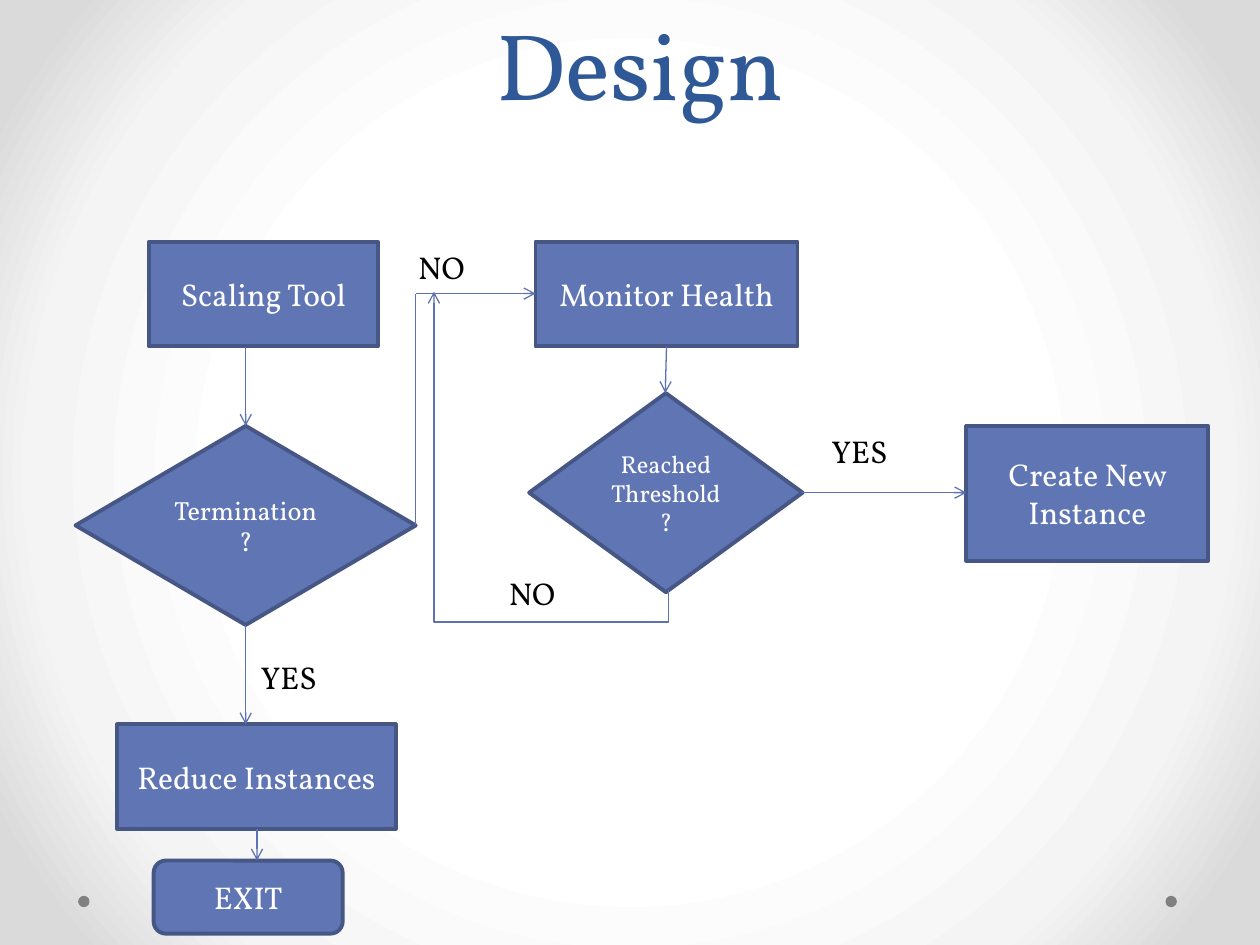
from lxml import etree
from pptx import Presentation
from pptx.dml.color import RGBColor
from pptx.enum.shapes import MSO_CONNECTOR as LINK, MSO_SHAPE as SHAPE
from pptx.enum.text import MSO_ANCHOR as ANCHOR, MSO_AUTO_SIZE as FIT, PP_ALIGN as ALIGN
from pptx.oxml import parse_xml
from pptx.oxml.ns import nsdecls, qn
from pptx.util import Inches, Pt

FONT = "Vollkorn"
TITLE_BLUE = RGBColor(0x2F, 0x58, 0x97)
NODE_FILL = RGBColor(0x60, 0x76, 0xB4)
NODE_EDGE = RGBColor(0x47, 0x57, 0x85)
ARROW_BLUE = RGBColor(0x5C, 0x72, 0xB2)
DOT_GRAY = RGBColor(0x80, 0x80, 0x80)
WHITE = RGBColor(0xFF, 0xFF, 0xFF)
BLACK = RGBColor(0, 0, 0)


def write(frame, text, size, color, align):
    frame.text = text
    paragraph = frame.paragraphs[0]
    paragraph.alignment = align
    font = paragraph.runs[0].font
    font.name, font.size, font.color.rgb = FONT, Pt(size), color


def connect(kind, x1, y1, x2, y2, arrow=True):
    link = slide.shapes.add_connector(kind, Inches(x1), Inches(y1), Inches(x2), Inches(y2))
    link.line.color.rgb = ARROW_BLUE
    link.line.width = Pt(0.75)
    if arrow:
        etree.SubElement(link.line._get_or_add_ln(), qn("a:tailEnd"), type="arrow")
    etree.SubElement(link._element.spPr, qn("a:effectLst"))
    return link


prs = Presentation()
prs.slide_width, prs.slide_height = Inches(10), Inches(7.5)
slide = prs.slides.add_slide(prs.slide_layouts[5])

stops = "".join(
    f'<a:gs pos="{percent * 1000}"><a:srgbClr val="{color}"/></a:gs>'
    for percent, color in [(50, "FFFFFF"), (76, "F4F4F4"), (92, "DADADA")]
)
slide.element.cSld.insert(0, parse_xml(
    f'<p:bg {nsdecls("p", "a")}><p:bgPr><a:gradFill rotWithShape="1"><a:gsLst>{stops}</a:gsLst>'
    '<a:path path="circle"><a:fillToRect l="50000" t="50000" r="50000" b="50000"/></a:path>'
    '</a:gradFill><a:effectLst/></p:bgPr></p:bg>'
))

for x in (9.25, 0.62):
    dot = slide.shapes.add_shape(SHAPE.OVAL, Inches(x), Inches(7.11), Inches(0.09), Inches(0.09))
    dot.shadow.inherit = False
    dot.fill.solid()
    dot.fill.fore_color.rgb = DOT_GRAY
    dot.line.fill.background()

title = slide.shapes.title
title.left, title.top, title.width, title.height = Inches(0.58), Inches(0), Inches(9), Inches(1)
write(title.text_frame, "Design", 54, TITLE_BLUE, ALIGN.CENTER)
title.text_frame.auto_size = FIT.NONE
title.text_frame.vertical_anchor = ANCHOR.BOTTOM
title.text_frame.paragraphs[0].line_spacing = Pt(58)

steps = [
    ("Scaling Tool", SHAPE.RECTANGLE, 1.18, 1.92, 1.82, 0.83, 18),
    ("Monitor Health", SHAPE.RECTANGLE, 4.25, 1.92, 2.08, 0.83, 18),
    ("Reached Threshold ?", SHAPE.FLOWCHART_DECISION, 4.2, 3.12, 2.17, 1.58, 14),
    ("Create New Instance", SHAPE.RECTANGLE, 7.67, 3.38, 1.92, 1.07, 18),
    ("Termination ?", SHAPE.FLOWCHART_DECISION, 0.6, 3.38, 2.7, 1.58, 15),
    ("Reduce Instances", SHAPE.RECTANGLE, 0.93, 5.75, 2.21, 0.83, 18),
    ("EXIT", SHAPE.ROUNDED_RECTANGLE, 1.22, 6.83, 1.5, 0.58, 18),
]
for text, kind, x, y, width, height, size in steps:
    step = slide.shapes.add_shape(kind, Inches(x), Inches(y), Inches(width), Inches(height))
    step.shadow.inherit = False
    step.fill.solid()
    step.fill.fore_color.rgb = NODE_FILL
    step.line.color.rgb = NODE_EDGE
    step.line.width = Pt(2.25)
    write(step.text_frame, text, size, WHITE, ALIGN.CENTER)
    step.text_frame.vertical_anchor = ANCHOR.MIDDLE

arrows = [
    (3.3, 2.33, 4.25, 2.33),
    (5.29, 2.75, 5.28, 3.12),
    (6.36, 3.91, 7.67, 3.91),
    (1.95, 2.75, 1.95, 3.38),
    (1.95, 4.96, 1.95, 5.75),
    (2.04, 6.58, 2.04, 6.83),
]
for ends in arrows:
    connect(LINK.STRAIGHT, *ends)
connect(LINK.STRAIGHT, 3.3, 4.17, 3.3, 2.33, arrow=False)

retry_loop = connect(LINK.ELBOW, 5.56, 2.57, 3.19, 4.43)
retry_loop._element.spPr.find(qn("a:xfrm")).set("rot", str(90 * 60000))
bend = retry_loop._element.spPr.find(qn("a:prstGeom")).find(qn("a:avLst"))
etree.SubElement(bend, qn("a:gd"), name="adj1", fmla="val -10600")

answers = [
    ("YES", 6.5, 3.38, 0.66),
    ("NO", 3.94, 4.51, 0.61),
    ("NO", 3.22, 1.92, 0.61),
    ("YES", 1.97, 5.17, 0.66),
]
for text, x, y, width in answers:
    answer = slide.shapes.add_textbox(Inches(x), Inches(y), Inches(width), Inches(0.4))
    write(answer.text_frame, text, 18, BLACK, ALIGN.LEFT)
    answer.text_frame.word_wrap = False
    answer.text_frame.auto_size = FIT.SHAPE_TO_FIT_TEXT

prs.save("out.pptx")
